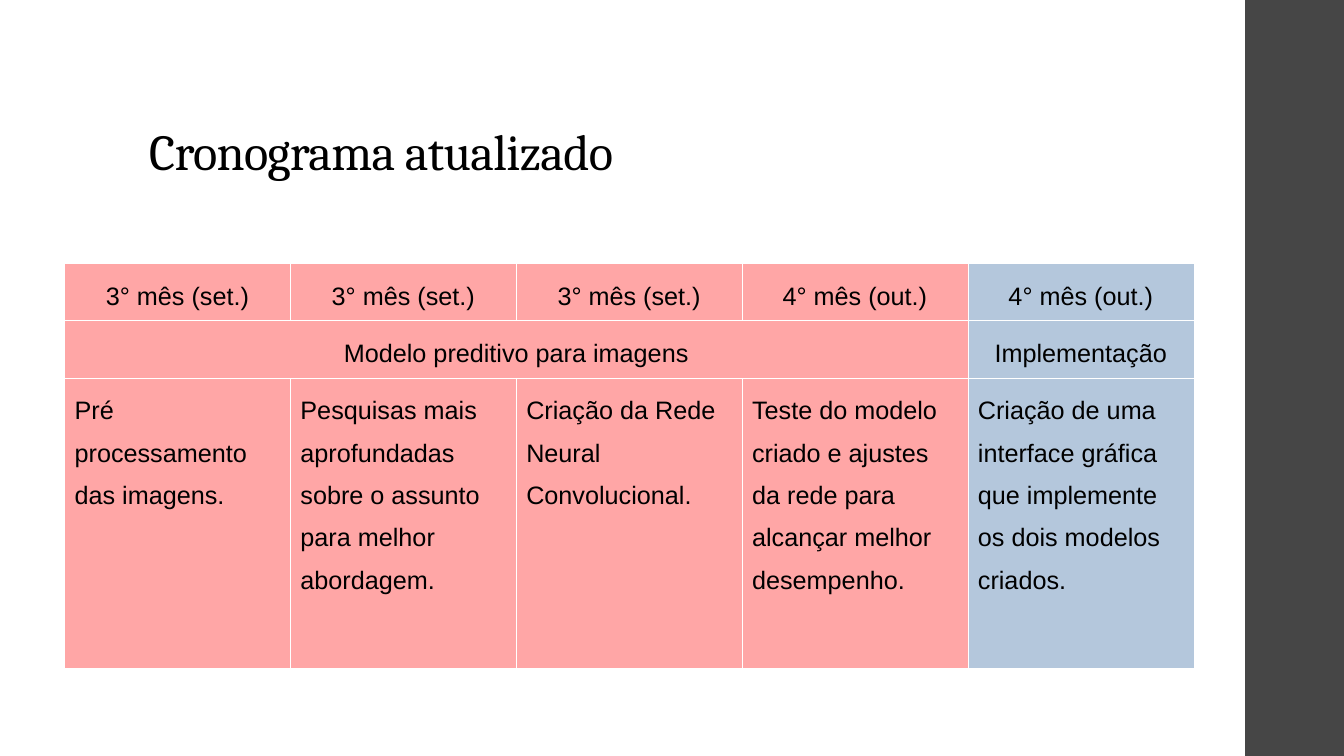
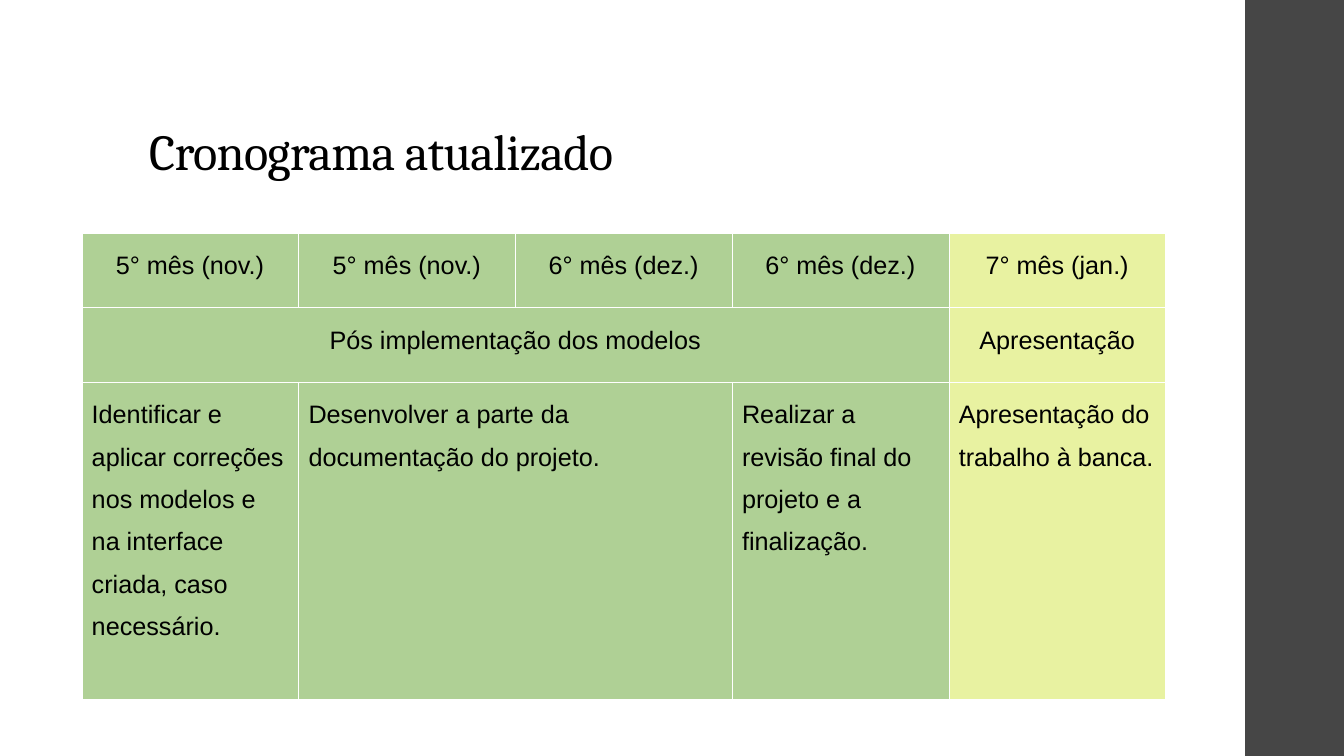
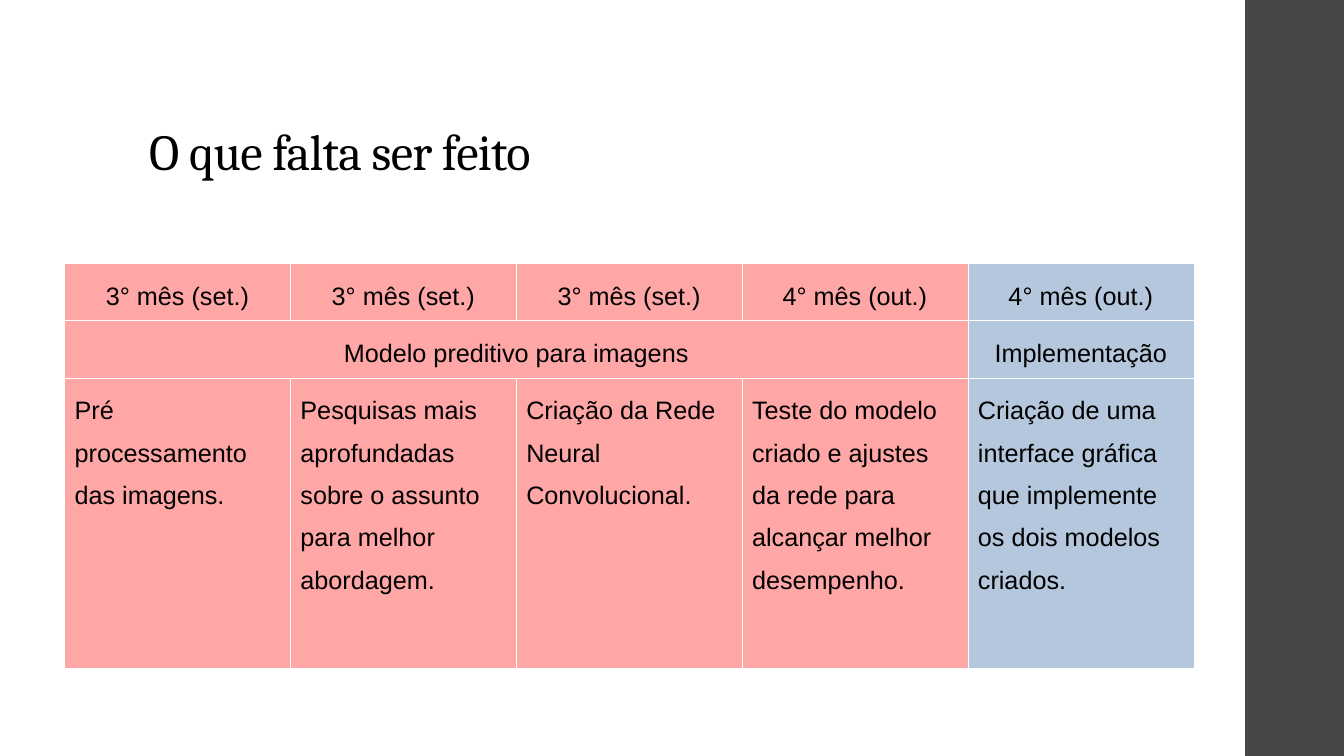
from dataclasses import dataclass

from lxml import etree
from pptx import Presentation
from pptx.dml.color import RGBColor
from pptx.enum.shapes import MSO_SHAPE
from pptx.enum.text import MSO_ANCHOR, MSO_AUTO_SIZE, PP_ALIGN
from pptx.oxml.ns import qn
from pptx.slide import Slide
from pptx.table import _Cell
from pptx.text.text import _Paragraph
from pptx.util import Inches, Pt

RECTANGLE = MSO_SHAPE.RECTANGLE
BOTTOM = MSO_ANCHOR.BOTTOM
NO_AUTOFIT = MSO_AUTO_SIZE.NONE
LEFT, CENTER = PP_ALIGN.LEFT, PP_ALIGN.CENTER

COLORS = {
    "text": "000000",
    "band": "464646",
    "border": "FFFFFF",
    "pink": "FFA6A6",
    "blue": "B4C7DC",
    "green": "AFD095",
    "yellow": "E8F2A1",
}
TITLE_FONT, TABLE_FONT = "Cambria", "Arial"
TITLE_ONLY_LAYOUT = 5
BORDER_WIDTH = Pt(0.06)


@dataclass(frozen=True)
class Schedule:
    """Rows of text, where None continues the cell to its left."""

    left: float
    top: float
    column_width: float
    row_heights: tuple[float, ...]
    main_color: str
    last_column_color: str
    rows: tuple[tuple[str | None, ...], ...]


MODEL_SCHEDULE = Schedule(
    0.64, 2.61, 2.24, (0.57, 0.57, 2.88), "pink", "blue",
    (
        ("3° mês (set.)", "3° mês (set.)", "3° mês (set.)",
         "4° mês (out.)", "4° mês (out.)"),
        ("Modelo preditivo para imagens", None, None, None, "Implementação"),
        ("Pré processamento das imagens.",
         "Pesquisas mais aprofundadas sobre o assunto para melhor abordagem.",
         "Criação da Rede Neural Convolucional.",
         "Teste do modelo criado e ajustes da rede para alcançar melhor desempenho.",
         "Criação de uma interface gráfica que implemente os dois modelos criados."),
    ),
)
CLOSING_SCHEDULE = Schedule(
    0.81, 2.31, 2.15, (0.74, 0.74, 3.15), "green", "yellow",
    (
        ("5° mês (nov.)", "5° mês (nov.)", "6° mês (dez.)",
         "6° mês (dez.)", "7° mês (jan.)"),
        ("Pós implementação dos modelos", None, None, None, "Apresentação"),
        ("Identificar e aplicar correções nos modelos e na interface criada, "
         "caso necessário.",
         "Desenvolver a parte da documentação do projeto.", None,
         "Realizar a revisão final do projeto e a finalização.",
         "Apresentação do trabalho à banca."),
    ),
)
SLIDES = (
    ("Cronograma atualizado", MODEL_SCHEDULE),
    ("Cronograma atualizado", CLOSING_SCHEDULE),
    ("O que falta ser feito", MODEL_SCHEDULE),
)


def rgb(name: str) -> RGBColor:
    return RGBColor.from_string(COLORS[name])


def format_paragraph(paragraph: _Paragraph, font: str, size: float,
                     line_spacing: float, alignment: PP_ALIGN) -> None:
    paragraph.alignment = alignment
    paragraph.line_spacing = line_spacing
    paragraph.font.name = font
    paragraph.font.size = Pt(size)
    paragraph.font.color.rgb = rgb("text")


def add_side_band(slide: Slide) -> None:
    band = slide.shapes.add_shape(
        RECTANGLE, Inches(12.35), 0, Inches(1), Inches(7.5))
    band.shadow.inherit = False
    band.fill.solid()
    band.fill.fore_color.rgb = rgb("band")
    band.line.fill.background()


def set_title(slide: Slide, text: str) -> None:
    title = slide.shapes.title
    title.left, title.top = Inches(1.38), Inches(0.4)
    title.width, title.height = Inches(10.6), Inches(1.45)
    frame = title.text_frame
    frame.text = text
    frame.auto_size = NO_AUTOFIT
    frame.vertical_anchor = BOTTOM
    paragraph = frame.paragraphs[0]
    format_paragraph(paragraph, TITLE_FONT, 36, 0.9, LEFT)
    paragraph.runs[0]._r.get_or_add_rPr().set("spc", "-50")


def set_borders(cell: _Cell) -> None:
    properties = cell._tc.get_or_add_tcPr()
    for side in ("a:lnL", "a:lnR", "a:lnT", "a:lnB"):
        line = etree.SubElement(properties, qn(side), w=str(int(BORDER_WIDTH)))
        fill = etree.SubElement(line, qn("a:solidFill"))
        etree.SubElement(fill, qn("a:srgbClr"), val=COLORS["border"])


def add_schedule(slide: Slide, schedule: Schedule) -> None:
    row_count, column_count = len(schedule.rows), len(schedule.rows[0])
    table = slide.shapes.add_table(
        row_count, column_count,
        Inches(schedule.left), Inches(schedule.top),
        Inches(schedule.column_width * column_count),
        Inches(sum(schedule.row_heights)),
    ).table
    table.first_row = table.horz_banding = False
    for column in table.columns:
        column.width = Inches(schedule.column_width)
    for row, height in zip(table.rows, schedule.row_heights):
        row.height = Inches(height)

    last_row, last_column = row_count - 1, column_count - 1
    for row_index, texts in enumerate(schedule.rows):
        alignment = LEFT if row_index == last_row else CENTER
        span_start = 0
        for column_index, text in enumerate(texts):
            cell = table.cell(row_index, column_index)
            set_borders(cell)
            cell.fill.solid()
            cell.fill.fore_color.rgb = rgb(
                schedule.last_column_color if column_index == last_column
                else schedule.main_color)
            if text is not None:
                span_start = column_index
                cell.text = text
                format_paragraph(cell.text_frame.paragraphs[0],
                                 TABLE_FONT, 18, 1.5, alignment)
            elif column_index == last_column or texts[column_index + 1] is not None:
                table.cell(row_index, span_start).merge(cell)


def main() -> None:
    presentation = Presentation()
    presentation.slide_width = Inches(13.33)
    presentation.slide_height = Inches(7.5)
    layout = presentation.slide_layouts[TITLE_ONLY_LAYOUT]
    for title, schedule in SLIDES:
        slide = presentation.slides.add_slide(layout)
        add_side_band(slide)
        set_title(slide, title)
        add_schedule(slide, schedule)
    presentation.save("out.pptx")


if __name__ == "__main__":
    main()
